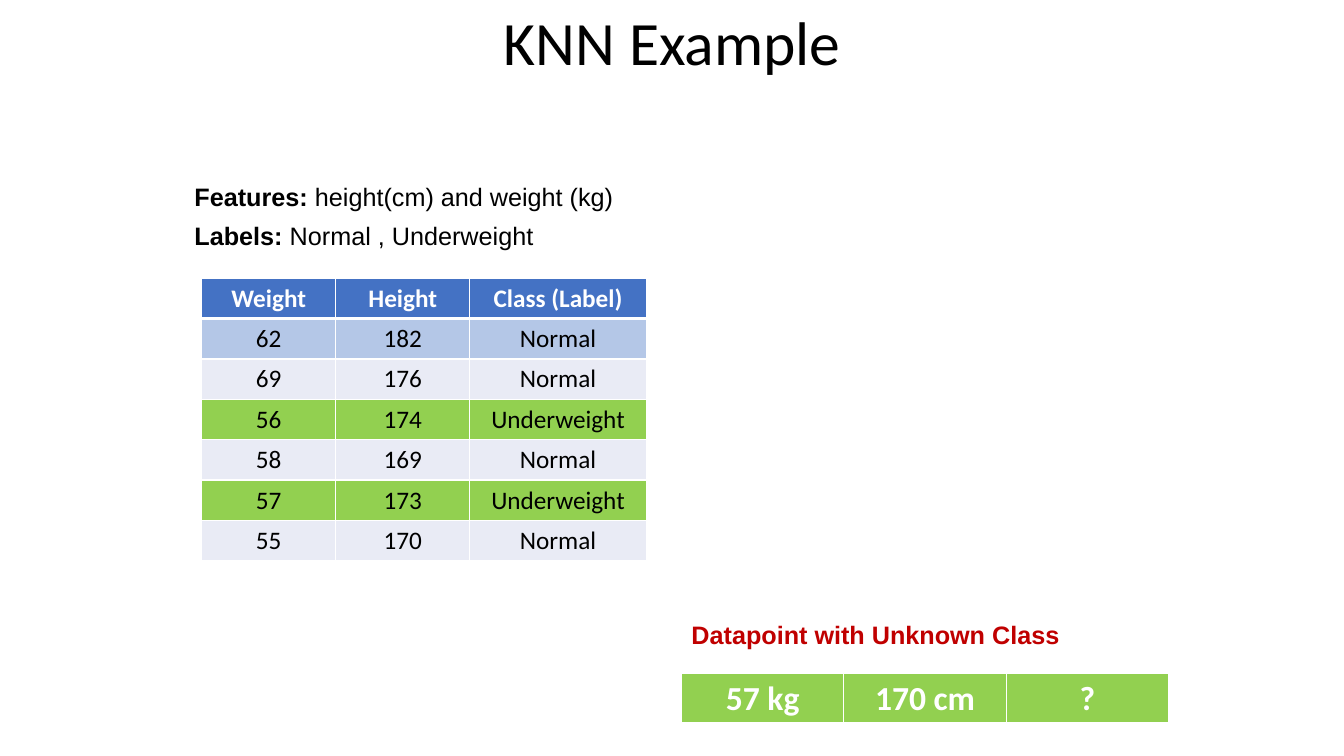
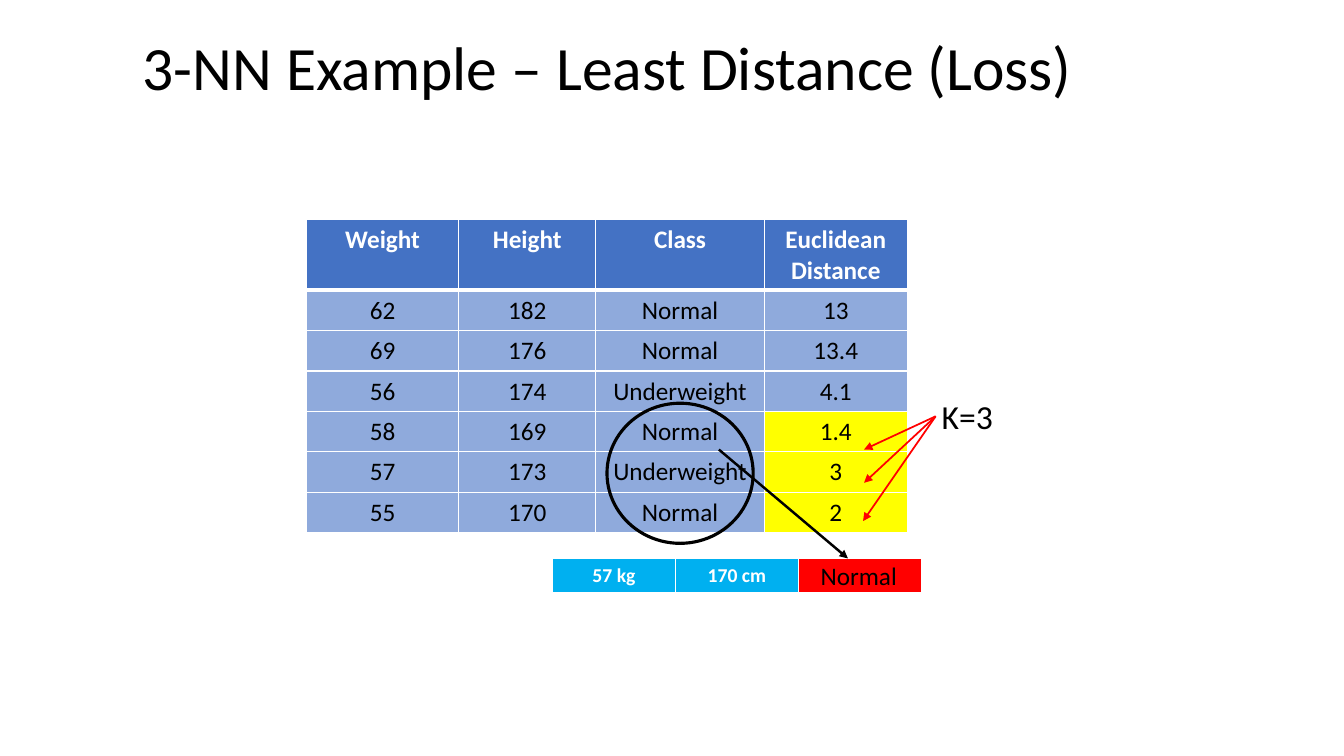
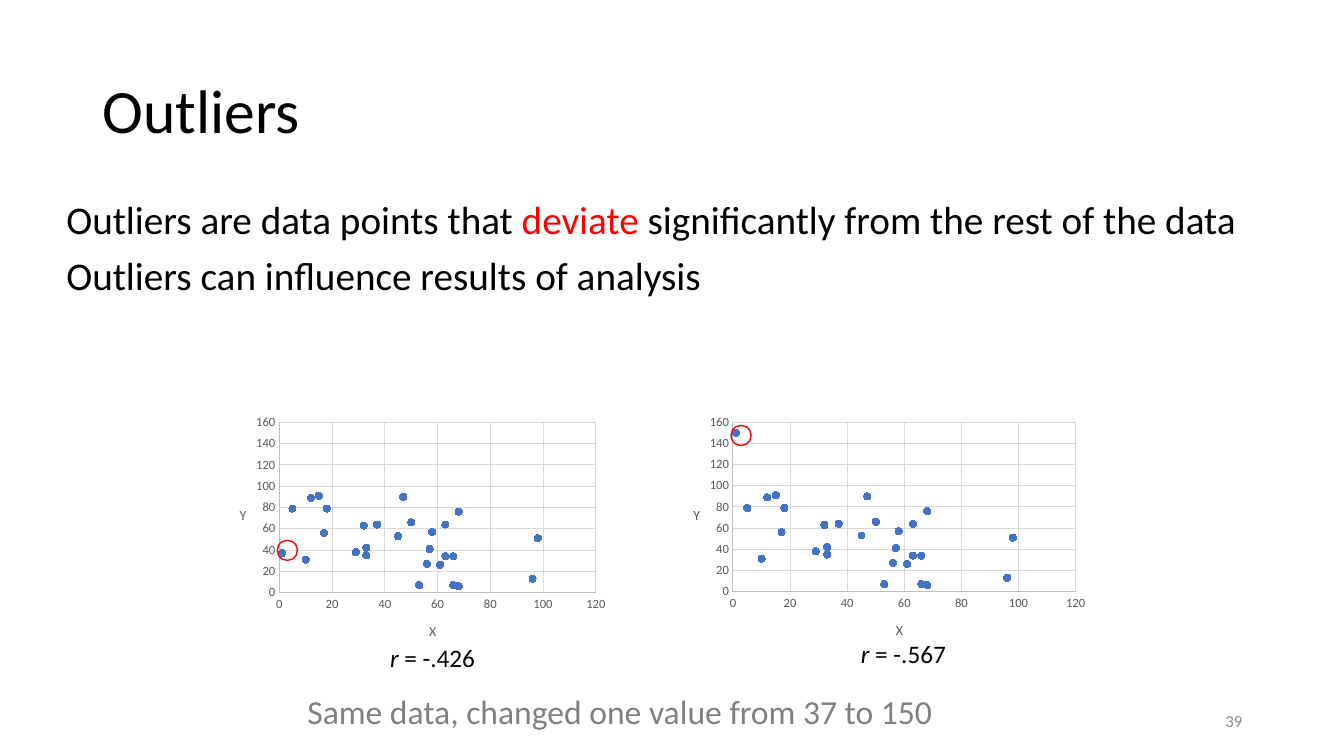
from lxml import etree
from pptx import Presentation
from pptx import util as u
from pptx.chart.data import XyChartData
from pptx.dml.color import RGBColor
from pptx.enum import chart as ch, shapes, text
from pptx.oxml import parse_xml
from pptx.oxml.ns import nsdecls, qn

BLACK, WHITE, RED = "000000", "FFFFFF", "FF0000"
BLUE, GREEN, YELLOW, CYAN = "4472C4", "92D050", "FFFF00", "00B0F0"
LIGHT_BLUE, MID_BLUE, PALE = "B4C7E7", "8FAADC", "E9EBF5"
DARK_RED, GREY, AXIS_GREY, NUMBER_GREY = "C00000", "808080", "595959", "8C8C8C"
LEFT, CENTER, RIGHT = text.PP_ALIGN.LEFT, text.PP_ALIGN.CENTER, text.PP_ALIGN.RIGHT
MIDDLE = text.MSO_ANCHOR.MIDDLE

SAMPLES = [
    ("62", "182", "Normal", "13"),
    ("69", "176", "Normal", "13.4"),
    ("56", "174", "Underweight", "4.1"),
    ("58", "169", "Normal", "1.4"),
    ("57", "173", "Underweight", "3"),
    ("55", "170", "Normal", "2"),
]
POINTS = [
    (68, 76), (15, 91), (12, 89), (33, 42), (56, 27), (37, 64), (29, 38),
    (45, 53), (10, 31), (47, 90), (98, 51), (63, 64), (33, 35), (63, 34),
    (66, 7), (17, 56), (57, 41), (53, 7), (1, 37), (61, 26), (96, 13),
    (68, 6), (50, 66), (18, 79), (66, 34), (32, 63), (58, 57), (5, 79),
]


def px(n):
    """Convert px, 100 to the inch, into EMU."""
    return u.Emu(n * 9144)


def rgb(color):
    return RGBColor.from_string(color)


def set_font(font, size=None, color=None, bold=None, italic=None, name=None):
    if size:
        font.size = u.Pt(size)
    if color:
        font.color.rgb = rgb(color)
    if name:
        font.name = name
    if bold is not None:
        font.bold = bold
    if italic is not None:
        font.italic = italic


def add_text(s, box, paras, size, color=BLACK, name="Calibri", bold=False,
             align=LEFT, anchor=None, wrap=True, line=None, before=0):
    """Add a text box; a paragraph is a list of strings or (string, font) pairs."""
    sp = s.shapes.add_textbox(*map(px, box))
    tf = sp.text_frame
    tf.word_wrap = wrap
    if anchor is not None:
        tf.vertical_anchor = anchor
    for i, runs in enumerate(paras):
        p = tf.add_paragraph() if i else tf.paragraphs[0]
        p.alignment = align
        if line:
            p.line_spacing = line
        if i and before:
            p.space_before = u.Pt(before)
        set_font(p.font, size, color, bold, name=name)
        for run in runs:
            words, style = (run, {}) if isinstance(run, str) else run
            r = p.add_run()
            r.text = words
            set_font(r.font, **style)


def add_title(s, box, title, align=CENTER, line=None):
    add_text(s, box, [[title]], 44, align=align, anchor=MIDDLE, line=line)


def set_borders(cell, bottom):
    tc_pr = cell._tc.get_or_add_tcPr()
    widths = (("lnL", 1), ("lnR", 1), ("lnT", 1), ("lnB", bottom))
    for i, (tag, width) in enumerate(widths):
        tc_pr.insert(i, parse_xml(
            f'<a:{tag} {nsdecls("a")} w="{width * 12700}"><a:solidFill>'
            f'<a:srgbClr val="{WHITE}"/></a:solidFill></a:{tag}>'))


def add_table(s, left, top, widths, heights, rows, fill_of, size=18):
    """Add a table whose first row is bold white over a thick rule."""
    frame = s.shapes.add_table(len(rows), len(widths), px(left), px(top),
                               px(sum(widths)), px(sum(heights)))
    table = frame.table
    table.first_row = table.horz_banding = False
    tbl_pr = table._tbl.tblPr
    tbl_pr.remove(tbl_pr.find(qn("a:tableStyleId")))
    for column, width in zip(table.columns, widths):
        column.width = px(width)
    for i, (row, height) in enumerate(zip(rows, heights)):
        table.rows[i].height = px(height)
        for j, words in enumerate(row):
            cell = table.cell(i, j)
            cell.fill.solid()
            cell.fill.fore_color.rgb = rgb(fill_of(i, j))
            set_borders(cell, 1 if i else 3)
            p = cell.text_frame.paragraphs[0]
            p.alignment = CENTER
            set_font(p.font, size, BLACK if i else WHITE, not i, name="Calibri")
            if words:
                p.add_run().text = words
            else:
                cell.margin_top = cell.margin_bottom = 0


def add_arrow(s, start, end, color, width):
    c = s.shapes.add_connector(shapes.MSO_CONNECTOR.STRAIGHT,
                               *map(px, start + end))
    c.line.color.rgb = rgb(color)
    c.line.width = u.Pt(width)
    etree.SubElement(c.line._get_or_add_ln(), qn("a:tailEnd"), type="triangle")
    etree.SubElement(c._element.spPr, qn("a:effectLst"))


def add_ring(s, box, color, width):
    sp = s.shapes.add_shape(shapes.MSO_SHAPE.OVAL, *map(px, box))
    sp.shadow.inherit = False
    sp.fill.background()
    sp.line.color.rgb = rgb(color)
    sp.line.width = u.Pt(width)


def set_layout(parent, target=None, **fractions):
    """Place a chart part by fractions of the chart's size."""
    for old in parent.findall(qn("c:layout")):
        parent.remove(old)
    layout = etree.Element(qn("c:layout"))
    manual = etree.SubElement(layout, qn("c:manualLayout"))
    if target:
        etree.SubElement(manual, qn("c:layoutTarget"), val=target)
    for axis in "xy":
        etree.SubElement(manual, qn(f"c:{axis}Mode"), val="edge")
    for key, value in fractions.items():
        etree.SubElement(manual, qn(f"c:{key}"), val=f"{value:.4f}")
    tx = parent.find(qn("c:tx"))
    if tx is None:
        parent.insert(0, layout)
    else:
        tx.addnext(layout)


def style_axis(axis, title, maximum, x, y):
    axis.minimum_scale, axis.maximum_scale, axis.major_unit = 0, maximum, 20
    axis.major_tick_mark = axis.minor_tick_mark = ch.XL_TICK_MARK.NONE
    axis.has_major_gridlines = True
    for fmt, color in ((axis.format, "BFBFBF"),
                       (axis.major_gridlines.format, "D9D9D9")):
        fmt.line.color.rgb = rgb(color)
        fmt.line.width = u.Pt(0.75)
    set_font(axis.tick_labels.font, 9, AXIS_GREY, name="Calibri")
    tf = axis.axis_title.text_frame
    tf.text = title
    tf._txBody.bodyPr.set("rot", "0")
    set_font(tf.paragraphs[0].font, 10, AXIS_GREY, False, name="Calibri")
    set_layout(axis.axis_title._element, x=x, y=y)


def add_scatter(s, box, points):
    data = XyChartData()
    series = data.add_series("Series 1")
    for x, y in points:
        series.add_data_point(x, y)
    chart = s.shapes.add_chart(ch.XL_CHART_TYPE.XY_SCATTER,
                               *map(px, box), data).chart
    chart.has_title = chart.has_legend = False
    set_font(chart.font, 10, BLACK, name="Calibri")
    plot = chart.plots[0]
    plot.vary_by_categories = False
    dots = plot.series[0]
    dots.format.line.fill.background()
    dots.marker.style = ch.XL_MARKER_STYLE.CIRCLE
    dots.marker.size = 5
    dots.marker.format.fill.solid()
    dots.marker.format.fill.fore_color.rgb = rgb(BLUE)
    dots.marker.format.line.color.rgb = rgb(BLUE)
    w, h = box[2:]
    style_axis(chart.category_axis, "X", 120, (w / 2 + 10) / w, (h - 38) / h)
    style_axis(chart.value_axis, "Y", 160, 18 / w, 93 / h)
    set_layout(chart._chartSpace.chart.plotArea, "inner", x=60 / w, y=12 / h,
               w=(w - 78) / w, h=(h - 77) / h)


def knn_slide(s):
    add_title(s, (167, 0, 1000, 81), "KNN Example")
    fills = [BLUE, LIGHT_BLUE, PALE, GREEN, PALE, GREEN, PALE]
    rows = [("Weight", "Height", "Class (Label)")] + [r[:3] for r in SAMPLES]
    add_table(s, 200, 276, (133, 133, 175), [40] * 7, rows,
              lambda i, j: fills[i])
    add_table(s, 676, 668, [161] * 3, [50], [("57 kg", "170 cm", "?")],
              lambda i, j: GREEN, size=24)
    strong = {"bold": True}
    add_text(s, (183, 178, 918, 80),
             [[("Features: ", strong), "height(cm) and weight (kg)"],
              [("Labels: ", strong), "Normal , Underweight"]],
             18, name="Arial", line=0.9, before=9)
    add_text(s, (676, 609, 667, 40), [["Datapoint with Unknown Class"]], 18,
             DARK_RED, "Arial", bold=True)


def distance_slide(s):
    def fill_of(i, j):
        if i == 0:
            return BLUE
        return YELLOW if i > 3 and j == 3 else MID_BLUE

    add_title(s, (103, 25, 1000, 81), "3-NN Example – Least Distance (Loss)")
    add_table(s, 304, 218, (151, 136, 167, 142), [70] + [40] * 6,
              [("Weight", "Height", "Class", "Euclidean Distance")] + SAMPLES,
              fill_of)
    add_table(s, 548, 554, [122] * 3, [35], [("57 kg", "170 cm", "")],
              lambda i, j: RED if j == 2 else CYAN, size=14)
    add_text(s, (924, 388, 72, 50), [["K=3"]], 24, wrap=False)
    for end in ((857, 446), (857, 479), (856, 517)):
        add_arrow(s, (928, 413), end, RED, 1.25)
    add_ring(s, (602, 400, 145, 139), BLACK, 2.25)
    add_arrow(s, (713, 446), (841, 554), BLACK, 1.75)
    add_text(s, (804, 551, 97, 40), [["Normal"]], 18, wrap=False)


def outliers_slide(s):
    add_title(s, (92, 40, 1150, 145), "Outliers", LEFT, 0.9)
    add_text(s, (56, 194, 1226, 183),
             [["Outliers are data points that ", ("deviate", {"color": RED}),
               " significantly from the rest of the data"],
              ["Outliers can influence results of analysis"]],
             28, line=0.9, before=10)
    add_text(s, (942, 695, 300, 40), [["39"]], 12, NUMBER_GREY, align=RIGHT,
             anchor=MIDDLE)
    changed = [(x, 150 if x == 1 else y) for x, y in POINTS]
    add_scatter(s, (217, 407, 392, 246), POINTS)
    add_scatter(s, (667, 407, 418, 245), changed)
    for left, top, value in ((350, 632, "-.426"), (817, 628, "-.567")):
        add_text(s, (left, top, 158, 42),
                 [[("r", {"italic": True}), f" = {value}"]], 18, align=CENTER)
    add_text(s, (295, 680, 900, 88),
             [["Same data, changed one value from 37 to 150"]], 24, GREY)
    for left, top in ((275, 536), (725, 422)):
        add_ring(s, (left, top, 20, 20), RED, 1)


def main():
    prs = Presentation()
    prs.slide_width, prs.slide_height = px(1333), px(750)
    for build in (knn_slide, distance_slide, outliers_slide):
        build(prs.slides.add_slide(prs.slide_layouts[6]))
    prs.save("out.pptx")


if __name__ == "__main__":
    main()
